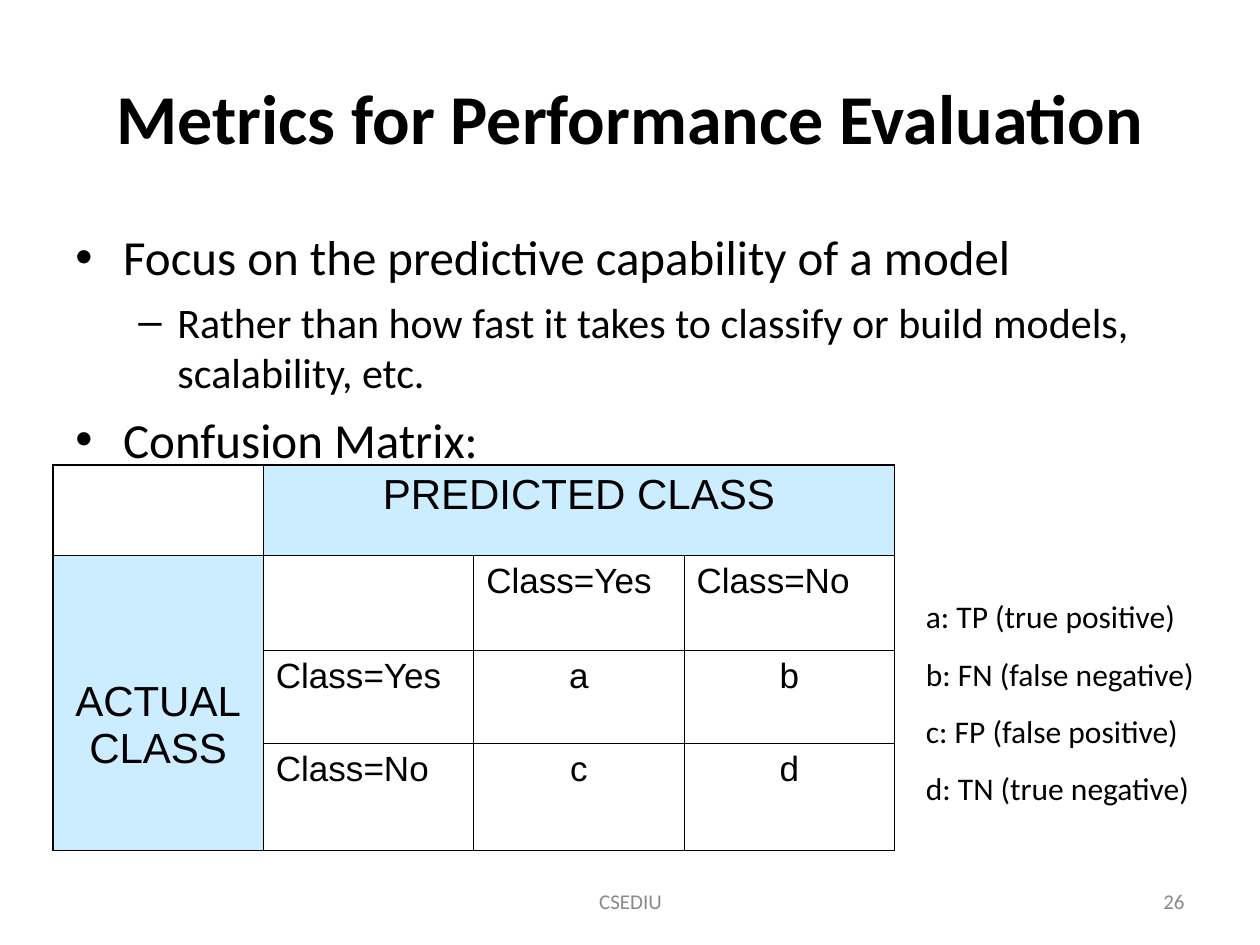
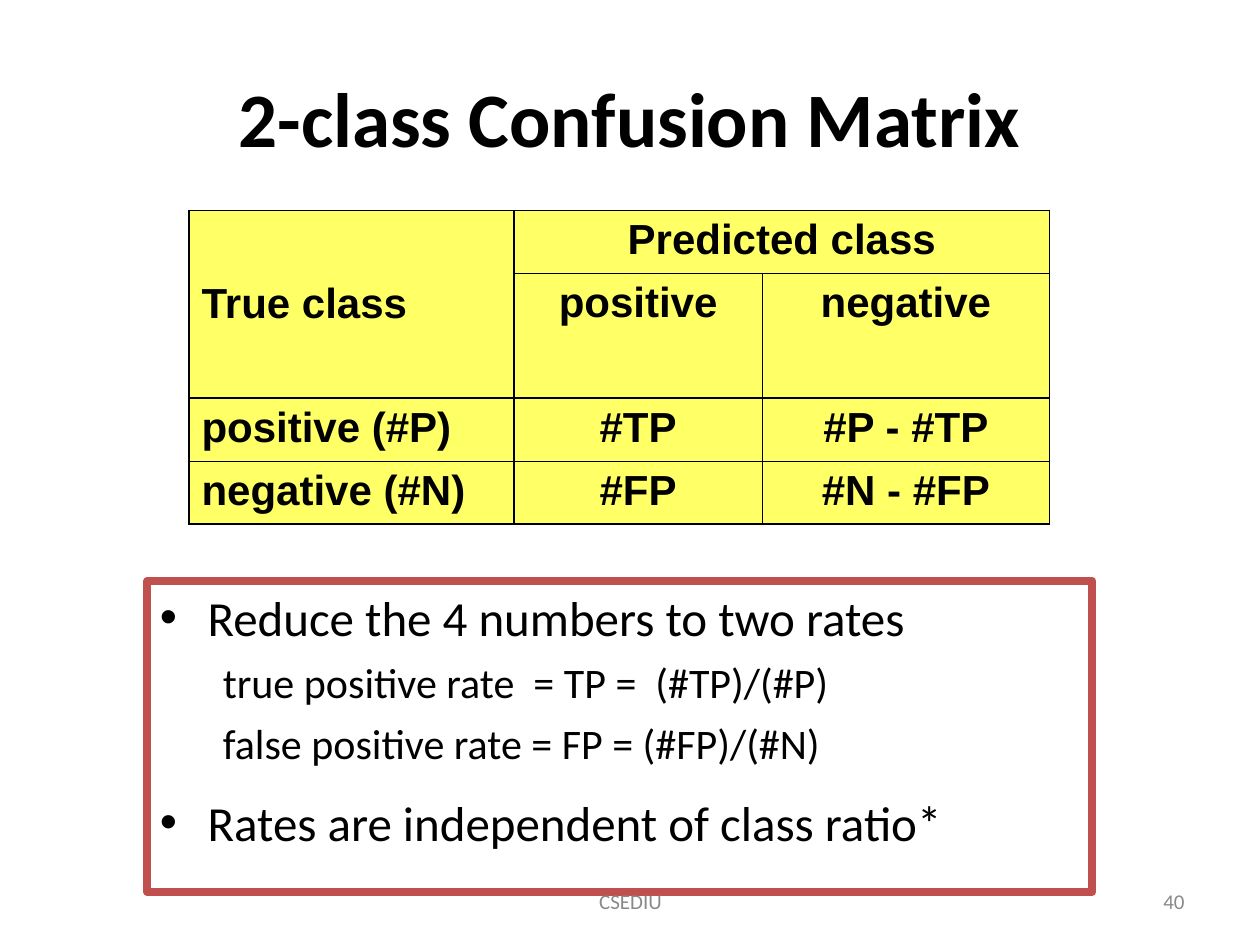
"""Build two slides about confusion matrices and performance metrics."""
import lxml.etree
import pptx
import pptx.dml.color
import pptx.enum.text
import pptx.oxml.ns
import pptx.util

Inches = pptx.util.Inches
Pt = pptx.util.Pt
ALIGN = pptx.enum.text.PP_ALIGN
ANCHOR = pptx.enum.text.MSO_ANCHOR
qualified = pptx.oxml.ns.qn


def color(hex_string):
    return pptx.dml.color.RGBColor.from_string(hex_string)


class Deck:
    BLACK, GRAY, RED = "000000", "898989", "C0504D"
    BLUE, YELLOW = "CCECFF", "FFFF66"
    BODY_FONT, TABLE_FONT = "Calibri", "Arial"
    THIN, OUTER, HEAVY = 0.45, 1.08, 1.47
    LEVELS = [
        {"size": 28, "before": 7, "margin": 0.38, "indent": -0.38},
        {"size": 24, "before": 6, "margin": 0.81, "indent": -0.31},
    ]

    def __init__(self):
        self.presentation = pptx.Presentation()
        self.presentation.slide_width = Inches(10)
        self.presentation.slide_height = Inches(7.5)
        self.slide = None

    def add_slide(self, title, title_size):
        self.slide = self.presentation.slides.add_slide(self.presentation.slide_layouts[5])
        shape = self.slide.shapes.title
        shape.left, shape.top, shape.width, shape.height = map(Inches, (0.5, 0.3, 9, 1.25))
        frame = shape.text_frame
        frame.auto_size = pptx.enum.text.MSO_AUTO_SIZE.NONE
        frame.vertical_anchor = ANCHOR.MIDDLE
        self.add_text(frame.paragraphs[0], title, title_size, align=ALIGN.CENTER, bold=True)

    def add_text(self, paragraph, text, size, font=BODY_FONT, fill=BLACK, align=ALIGN.LEFT, bold=False):
        paragraph.alignment = align
        for index, line in enumerate(text.split("\n")):
            if index:
                paragraph.add_line_break()
            run = paragraph.add_run()
            run.text = line
            run.font.name = font
            run.font.size = Pt(size)
            run.font.bold = bold
            run.font.color.rgb = color(fill)

    def add_box(self, box, anchor=ANCHOR.TOP):
        shape = self.slide.shapes.add_textbox(*map(Inches, box))
        shape.text_frame.word_wrap = True
        shape.text_frame.vertical_anchor = anchor
        return shape

    def paragraphs(self, frame, items):
        for index, item in enumerate(items):
            yield index, frame.add_paragraph() if index else frame.paragraphs[0], item

    def add_bullets(self, box, items, outline=None):
        shape = self.add_box(box)
        if outline:
            shape.line.color.rgb = color(outline)
            shape.line.width = Pt(4.5)
        for index, paragraph, (level, bullet, text, *before) in self.paragraphs(shape.text_frame, items):
            style = self.LEVELS[level]
            paragraph.level = level
            properties = paragraph._p.get_or_add_pPr()
            properties.set("marL", str(Inches(style["margin"])))
            properties.set("indent", str(Inches(style["indent"])))
            if bullet:
                lxml.etree.SubElement(properties, qualified("a:buFont"), typeface="Arial")
                lxml.etree.SubElement(properties, qualified("a:buChar"), char=bullet)
            if index:
                paragraph.space_before = Pt(before[0] if before else style["before"])
            self.add_text(paragraph, text, style["size"])

    def add_legend(self, box, lines):
        frame = self.add_box(box).text_frame
        for index, paragraph, line in self.paragraphs(frame, lines):
            if index:
                paragraph.space_before = Pt(11.2)
            self.add_text(paragraph, line, 18)

    def add_footer(self, number):
        for box, text, align in (
            ((7.17, 6.95, 2.33, 0.4), number, ALIGN.RIGHT),
            ((3.42, 6.95, 3.17, 0.4), "CSEDIU", ALIGN.CENTER),
        ):
            frame = self.add_box(box, ANCHOR.MIDDLE).text_frame
            self.add_text(frame.paragraphs[0], text, 12, fill=self.GRAY, align=align)

    def add_table(self, left, top, widths, heights, merges):
        frame = self.slide.shapes.add_table(
            len(heights), len(widths), Inches(left), Inches(top),
            Inches(sum(widths)), Inches(sum(heights)))
        table = frame.table
        table.first_row = table.horz_banding = False
        for column, width in zip(table.columns, widths):
            column.width = Inches(width)
        for row, height in zip(table.rows, heights):
            row.height = Inches(height)
        for first, last in merges:
            table.cell(*first).merge(table.cell(*last))
        return table

    def border_cells(self, table, heavy_row=None, heavy_column=None):
        row_count, column_count = len(table.rows), len(table.columns)

        def width(position, count, heavy):
            if position in (0, count):
                return self.OUTER
            return self.HEAVY if position == heavy else self.THIN

        for row in range(row_count):
            for column in range(column_count):
                cell = table.cell(row, column)
                edges = {
                    "L": width(column, column_count, heavy_column),
                    "R": width(column + cell.span_width, column_count, heavy_column),
                    "T": width(row, row_count, heavy_row),
                    "B": width(row + cell.span_height, row_count, heavy_row),
                }
                properties = cell._tc.get_or_add_tcPr()
                for side, points in edges.items():
                    line = lxml.etree.SubElement(
                        properties, qualified("a:ln" + side), w=str(Pt(points)))
                    solid = lxml.etree.SubElement(line, qualified("a:solidFill"))
                    lxml.etree.SubElement(solid, qualified("a:srgbClr"), val=self.BLACK)

    def fill_cell(self, cell, text, size, fill=None, align=ALIGN.CENTER, bold=False):
        if fill:
            cell.fill.solid()
            cell.fill.fore_color.rgb = color(fill)
        else:
            cell.fill.background()
        if text:
            self.add_text(cell.text_frame.paragraphs[0], text, size, self.TABLE_FONT, align=align, bold=bold)


def build_metrics(deck):
    deck.add_slide("Metrics for Performance Evaluation", 40)
    deck.add_bullets((0.5, 1.75, 9, 4.95), [
        (0, "•", "Focus on the predictive capability of a model"),
        (1, "–", "Rather than how fast it takes to classify or build models, scalability, etc."),
        (0, "•", "Confusion Matrix:"),
    ])
    table = deck.add_table(0.42, 3.69, [1.67] * 4, [0.72, 0.75, 0.74, 0.85],
                           [((0, 1), (0, 3)), ((1, 0), (3, 0))])
    deck.border_cells(table)
    rows = [
        ["", "PREDICTED CLASS", "", ""],
        ["ACTUAL\nCLASS", "", "Class=Yes", "Class=No"],
        ["", "Class=Yes", "a", "b"],
        ["", "Class=No", "c", "d"],
    ]
    for row, texts in enumerate(rows):
        for column, text in enumerate(texts):
            heading = (row == 0) != (column == 0)
            align = ALIGN.LEFT if text.startswith("Class=") else ALIGN.CENTER
            deck.fill_cell(table.cell(row, column), text, 24 if heading else 20,
                           deck.BLUE if heading else None, align)
    actual_class = table.cell(1, 0)
    actual_class.vertical_anchor = ANCHOR.MIDDLE
    actual_class.margin_top = Inches(0.4)
    deck.add_legend((7.25, 4.69, 2.42, 1.77), [
        "a: TP (true positive)",
        "b: FN (false negative)",
        "c: FP (false positive)",
        "d: TN (true negative)",
    ])
    deck.add_footer("26")


def build_two_class(deck):
    deck.add_slide("2-class Confusion Matrix", 44)
    deck.add_bullets((1.17, 4.61, 7.5, 2.47), [
        (0, "•", "Reduce the 4 numbers to two rates"),
        (1, None, "true positive rate  = TP =  (#TP)/(#P)"),
        (1, None, "false positive rate = FP = (#FP)/(#N)"),
        (0, "•", "Rates are independent of class ratio*", 14),
    ], deck.RED)
    table = deck.add_table(1.5, 1.67, [2.58, 1.97, 2.28], [0.5, 0.99, 0.5, 0.5],
                           [((0, 0), (1, 0)), ((0, 1), (0, 2))])
    deck.border_cells(table, heavy_row=2, heavy_column=1)
    rows = [
        ["True class", "Predicted class", ""],
        ["", "positive", "negative"],
        ["positive (#P)", "#TP", "#P - #TP"],
        ["negative (#N)", "#FP", "#N - #FP"],
    ]
    for row, texts in enumerate(rows):
        for column, text in enumerate(texts):
            deck.fill_cell(table.cell(row, column), text, 24, deck.YELLOW,
                           ALIGN.CENTER if column else ALIGN.LEFT, True)
    table.cell(0, 0).vertical_anchor = ANCHOR.MIDDLE
    deck.add_footer("40")


def main():
    deck = Deck()
    build_metrics(deck)
    build_two_class(deck)
    deck.presentation.save("out.pptx")


if __name__ == "__main__":
    main()
